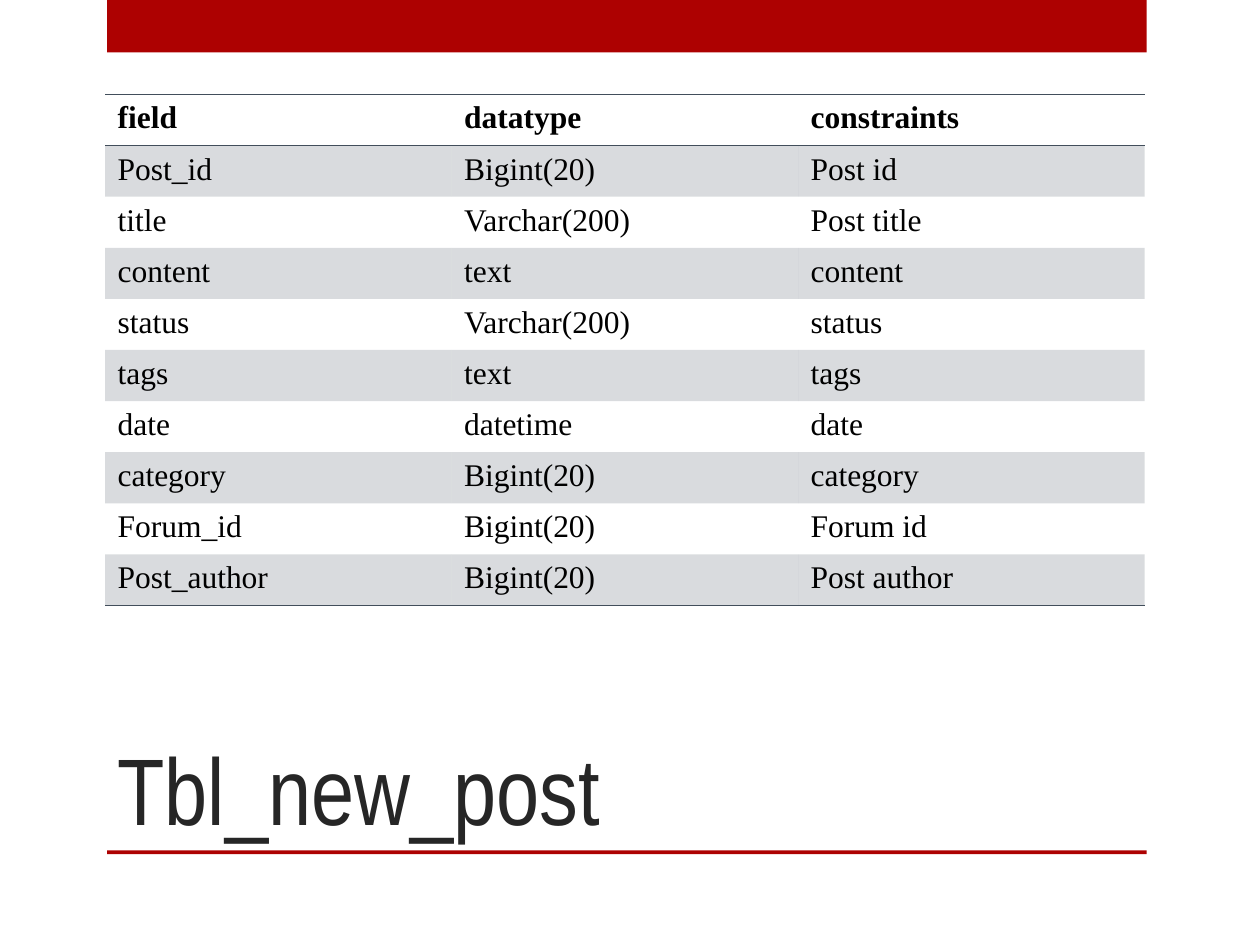
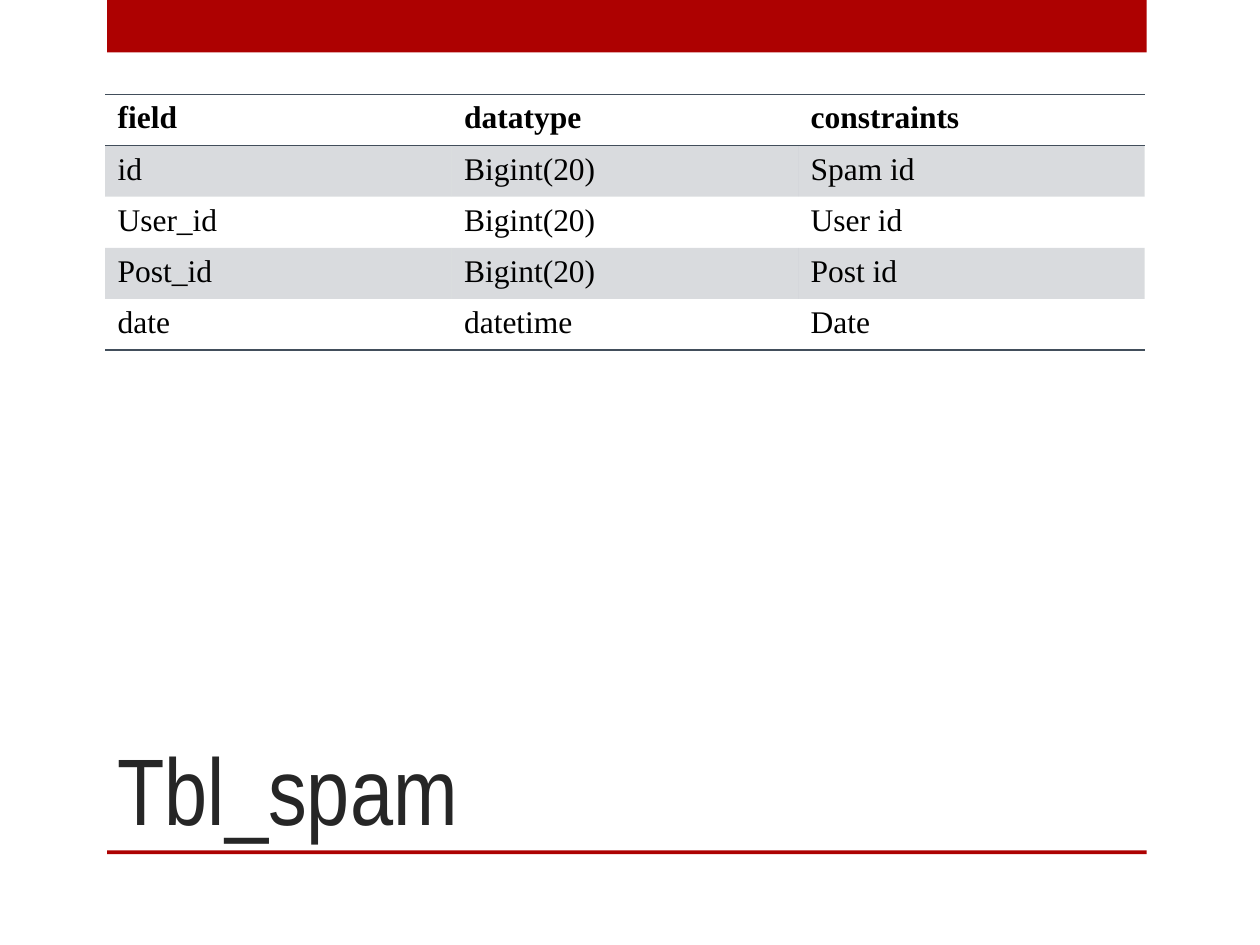
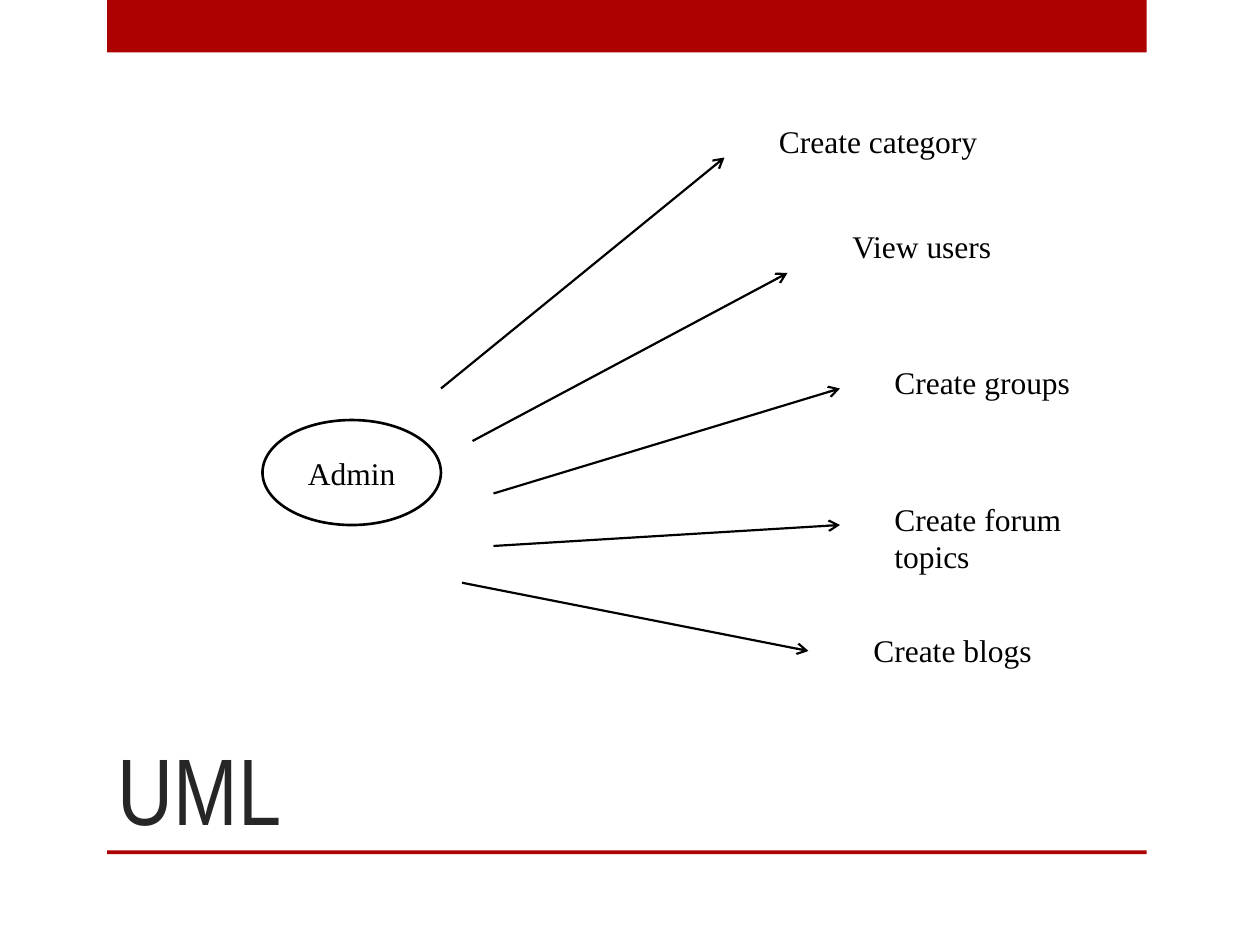
from dataclasses import dataclass

from lxml.etree import SubElement
from pptx import Presentation
from pptx.dml.color import RGBColor
from pptx.enum.shapes import MSO_CONNECTOR, MSO_SHAPE
from pptx.enum.text import MSO_ANCHOR, MSO_AUTO_SIZE, PP_ALIGN
from pptx.oxml.ns import qn
from pptx.util import Inches, Pt

HEADINGS = ("field", "datatype", "constraints")
TABLES = {
    "Tbl_new_post": [
        ("Post_id", "Bigint(20)", "Post id"),
        ("title", "Varchar(200)", "Post title"),
        ("content", "text", "content"),
        ("status", "Varchar(200)", "status"),
        ("tags", "text", "tags"),
        ("date", "datetime", "date"),
        ("category", "Bigint(20)", "category"),
        ("Forum_id", "Bigint(20)", "Forum id"),
        ("Post_author", "Bigint(20)", "Post author"),
    ],
    "Tbl_spam": [
        ("id", "Bigint(20)", "Spam id"),
        ("User_id", "Bigint(20)", "User id"),
        ("Post_id", "Bigint(20)", "Post id"),
        ("date", "datetime", "Date"),
    ],
}

# Places are in grid units, twelve to the inch: 120 columns by 90 rows.
DIAGRAM_TITLE = "UML"
ACTOR = ("Admin", (25, 40, 17, 10))
# label, label place, arrow start, arrow end
USE_CASES = [
    ("Create category", (73, 11, 33, 4.85), (42, 37), (69, 15)),
    ("View users", (80, 21, 22, 5), (45, 42), (75, 26)),
    ("Create groups", (84, 34, 24, 4.85), (47, 47), (80, 37)),
    ("Create forum topics", (84, 47, 24, 8.5), (47, 52), (80, 50)),
    ("Create blogs", (82, 59.5, 24, 4.85), (44, 55.5), (77, 62)),
]

COLUMNS, ROWS = 120, 90
CONTENT_WIDTH = 99
BANDS = [(10.2, 0, CONTENT_WIDTH, 5), (10.2, 81, CONTENT_WIDTH, 0.36)]
TITLE_PLACE = (10, 60, 89, 21)
TABLE_CORNER = (10, 9)
TABLE_ROW = 4.87
NO_GRID_STYLE = "{2D5ABB26-0587-4C30-8999-92F81FD0307C}"


@dataclass(frozen=True)
class Theme:
    band: str = "AD0101"
    title: str = "262626"
    ink: str = "000000"
    paper: str = "FFFFFF"
    slate: str = "424E5B"
    stripe_opacity: int = 20
    title_font: str = "Arial Narrow"
    text_font: str = "Times New Roman"
    title_size: int = 54
    text_size: int = 18
    oval_line: float = 1.5
    arrow_line: float = 1.25
    rule_line: float = 1


THEME = Theme()
TITLE_FORMAT = {"name": THEME.title_font, "size": Pt(THEME.title_size)}
TEXT_FORMAT = {"name": THEME.text_font, "size": Pt(THEME.text_size)}


def grid(*units):
    return [Inches(unit / 12) for unit in units]


def rgb(color):
    return RGBColor.from_string(color)


def write(frame, text, font_format, color=THEME.ink, align=PP_ALIGN.LEFT, bold=False):
    para = frame.paragraphs[0]
    para.alignment = align
    span = para.add_run()
    span.text = text
    for name, value in {**font_format, "bold": bold}.items():
        setattr(span.font, name, value)
    span.font.color.rgb = rgb(color)


def add_plain_shape(page, kind, place, fill):
    shape = page.shapes.add_shape(kind, *grid(*place))
    shape.shadow.inherit = False
    shape.fill.solid()
    shape.fill.fore_color.rgb = rgb(fill)
    shape.line.fill.background()
    return shape


def prepare_layout(layout, page):
    """Place the title in the layout and move the bands, drawn on page, into it."""
    title = layout.placeholders[0]
    for name, value in zip(("left", "top", "width", "height"), grid(*TITLE_PLACE)):
        setattr(title, name, value)
    title.text_frame.vertical_anchor = MSO_ANCHOR.BOTTOM
    title.text_frame.auto_size = MSO_AUTO_SIZE.NONE
    for index, place in enumerate(BANDS):
        band = add_plain_shape(page, MSO_SHAPE.RECTANGLE, place, THEME.band)
        layout.shapes.element.insert(2 + index, band.element)


def add_rule(cell_properties, side, position):
    rule = cell_properties.makeelement(qn(f"a:{side}"), {"w": str(Pt(THEME.rule_line))})
    fill = SubElement(rule, qn("a:solidFill"))
    SubElement(fill, qn("a:srgbClr"), val=THEME.slate)
    cell_properties.insert(position, rule)


def style_cell(cell, row, last_row):
    """Stripe odd rows and rule the header and the last row."""
    properties = cell._tc.get_or_add_tcPr()
    if row % 2:
        cell.fill.solid()
        cell.fill.fore_color.rgb = rgb(THEME.slate)
        color = properties.find(".//" + qn("a:srgbClr"))
        SubElement(color, qn("a:alpha"), val=str(THEME.stripe_opacity * 1000))
    else:
        cell.fill.background()
    sides = {0: ("lnT", "lnB"), last_row: ("lnB",)}.get(row, ())
    for position, side in enumerate(sides):
        add_rule(properties, side, position)


def add_field_table(page, fields):
    rows = [HEADINGS, *fields]
    size = (CONTENT_WIDTH, TABLE_ROW * len(rows))
    frame = page.shapes.add_table(len(rows), len(HEADINGS), *grid(*TABLE_CORNER, *size))
    frame.element.find(".//" + qn("a:tableStyleId")).text = NO_GRID_STYLE
    for row, values in enumerate(rows):
        for column, text in enumerate(values):
            cell = frame.table.cell(row, column)
            write(cell.text_frame, text, TEXT_FORMAT, bold=row == 0)
            style_cell(cell, row, len(rows) - 1)


def add_arrow(page, start, end):
    arrow = page.shapes.add_connector(MSO_CONNECTOR.STRAIGHT, *grid(*start, *end))
    arrow.line.color.rgb = rgb(THEME.ink)
    arrow.line.width = Pt(THEME.arrow_line)
    SubElement(arrow.line._get_or_add_ln(), qn("a:tailEnd"), type="arrow")
    SubElement(arrow.element.spPr, qn("a:effectLst"))


def add_label(page, text, place):
    box = page.shapes.add_textbox(*grid(*place))
    box.text_frame.word_wrap = True
    box.text_frame.auto_size = MSO_AUTO_SIZE.SHAPE_TO_FIT_TEXT
    write(box.text_frame, text, TEXT_FORMAT)


def add_use_cases(page):
    name, place = ACTOR
    oval = add_plain_shape(page, MSO_SHAPE.OVAL, place, THEME.paper)
    oval.line.color.rgb = rgb(THEME.ink)
    oval.line.width = Pt(THEME.oval_line)
    oval.text_frame.vertical_anchor = MSO_ANCHOR.MIDDLE
    write(oval.text_frame, name, TEXT_FORMAT, align=PP_ALIGN.CENTER)
    for text, label_place, start, end in USE_CASES:
        add_arrow(page, start, end)
        add_label(page, text, label_place)


def add_page(deck, title):
    page = deck.slides.add_slide(deck.slide_layouts[5])
    write(page.shapes.title.text_frame, title, TITLE_FORMAT, THEME.title)
    return page


def main():
    deck = Presentation()
    deck.slide_width, deck.slide_height = grid(COLUMNS, ROWS)
    for title, fields in TABLES.items():
        add_field_table(add_page(deck, title), fields)
    add_use_cases(add_page(deck, DIAGRAM_TITLE))
    prepare_layout(deck.slide_layouts[5], deck.slides[0])
    deck.save("out.pptx")


if __name__ == "__main__":
    main()
